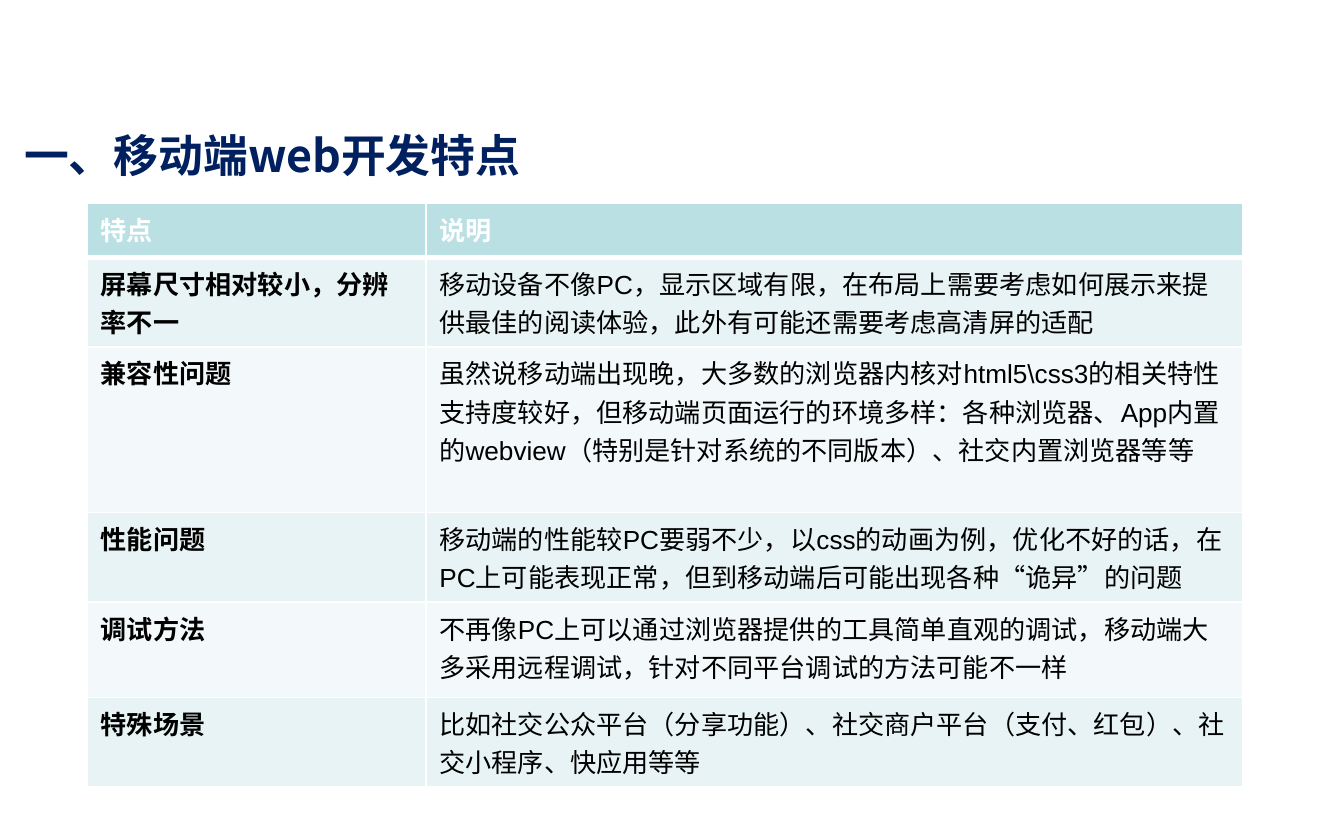
from lxml import etree
from pptx import Presentation
from pptx import util as u
from pptx.dml import color
from pptx.enum import lang, text
from pptx.oxml import ns

CJK_FONT = "Noto Sans CJK SC"
HEADER_FILL, BAND_FILLS = "BBE0E3", ("E7F3F4", "F3F9FA")
COLUMN_SHARES = (0.293, 0.707)
ROW_HEIGHTS = (1.02, 1.6, 2.26, 1.68, 1.8, 1.63)
ROWS = (
    ("特点", "说明"),
    ("屏幕尺寸相对较小，分辨率不一",
     "移动设备不像PC，显示区域有限，在布局上需要考虑如何展示来提供最佳的阅读体验，"
     "此外有可能还需要考虑高清屏的适配"),
    ("兼容性问题",
     "虽然说移动端出现晚，大多数的浏览器内核对html5\\css3的相关特性支持度较好，"
     "但移动端页面运行的环境多样：各种浏览器、App内置的webview"
     "（特别是针对系统的不同版本）、社交内置浏览器等等"),
    ("性能问题",
     "移动端的性能较PC要弱不少，以css的动画为例，优化不好的话，"
     "在PC上可能表现正常，但到移动端后可能出现各种“诡异”的问题"),
    ("调试方法",
     "不再像PC上可以通过浏览器提供的工具简单直观的调试，"
     "移动端大多采用远程调试，针对不同平台调试的方法可能不一样"),
    ("特殊场景",
     "比如社交公众平台（分享功能）、社交商户平台（支付、红包）、社交小程序、快应用等等"),
)


def rgb(value):
    return color.RGBColor.from_string(value)


def paint(target, value):
    target.fill.solid()
    target.fill.fore_color.rgb = rgb(value)


def write(frame, words, hex_color, **formats):
    """Put one left-aligned span with Chinese glyph support into a text frame."""
    para = frame.paragraphs[0]
    para.alignment = text.PP_ALIGN.LEFT
    span = para.add_run()
    span.text = words
    formats["language_id"] = lang.MSO_LANGUAGE_ID.SIMPLIFIED_CHINESE
    for name, value in formats.items():
        setattr(span.font, name, value)
    span.font.color.rgb = rgb(hex_color)
    latin = span.font._element.find(ns.qn("a:latin"))
    east_asian = etree.Element(ns.qn("a:ea"), typeface=CJK_FONT)
    latin.addnext(east_asian)


def set_borders(cell, top, bottom):
    """Draw white cell borders; widths are in points."""
    properties = cell._tc.get_or_add_tcPr()
    widths = {"lnL": 1, "lnR": 1, "lnT": top, "lnB": bottom}
    for index, (side, width) in enumerate(widths.items()):
        line = etree.Element(ns.qn(f"a:{side}"), w=str(u.Pt(width)))
        fill = etree.SubElement(line, ns.qn("a:solidFill"))
        etree.SubElement(fill, ns.qn("a:srgbClr"), val="FFFFFF")
        properties.insert(index, line)


def add_title(page, left, top, width, height):
    title = page.shapes.title
    box = {"left": left, "top": top, "width": width, "height": height}
    for name, value in box.items():
        setattr(title, name, u.Cm(value))
    paint(title, "FFFFFF")
    frame = title.text_frame
    frame.vertical_anchor = text.MSO_ANCHOR.MIDDLE
    frame.word_wrap = True
    write(frame, "一、移动端web开发特点", "002060",
          name=CJK_FONT, size=u.Pt(24), bold=True)


def add_feature_table(page, left, top, width):
    box = [u.Cm(value) for value in (left, top, width, sum(ROW_HEIGHTS))]
    table = page.shapes.add_table(len(ROWS), len(COLUMN_SHARES), *box).table
    for column, share in zip(table.columns, COLUMN_SHARES):
        column.width = u.Cm(width * share)
    for index, (words, height) in enumerate(zip(ROWS, ROW_HEIGHTS)):
        table.rows[index].height = u.Cm(height)
        header = index == 0
        for column, content in enumerate(words):
            cell = table.cell(index, column)
            paint(cell, HEADER_FILL if header else BAND_FILLS[(index - 1) % 2])
            set_borders(cell, top=3 if index == 1 else 1, bottom=3 if header else 1)
            write(cell.text_frame, content, "FFFFFF" if header else "000000",
                  name="Arial", size=u.Pt(14), bold=header or column == 0)


def main():
    deck = Presentation()
    deck.slide_width, deck.slide_height = u.Cm(25.4), u.Cm(15.88)
    page = deck.slides.add_slide(deck.slide_layouts[0])
    subtitle = page.placeholders[1].element
    subtitle.getparent().remove(subtitle)
    add_title(page, 0.2, 2.21, 20.68, 1.42)
    add_feature_table(page, 1.65, 3.84, 21.84)
    deck.save("out.pptx")


if __name__ == "__main__":
    main()
